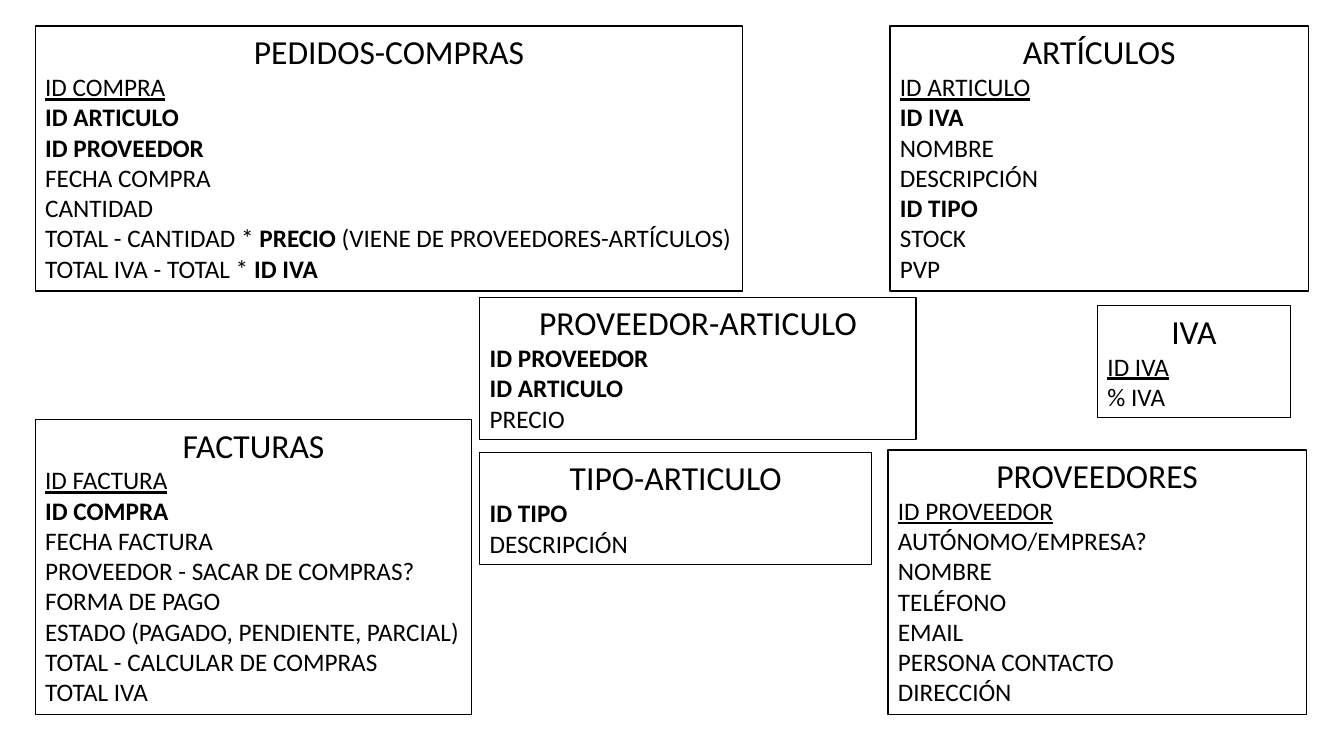
from pptx import Presentation
from pptx import util as u
from pptx.dml import color
from pptx.enum import text

COLORS = {"paper": "FFFFFF", "ink": "000000"}

TABLES = [
    ("PEDIDOS-COMPRAS", 0.89, 0.66, 17.83, "ID COMPRA", [
        "**ID ARTICULO**", "**ID PROVEEDOR**", "FECHA COMPRA", "CANTIDAD",
        "TOTAL - CANTIDAD * **PRECIO** (VIENE DE PROVEEDORES-ARTÍCULOS)",
        "TOTAL IVA - TOTAL * **ID IVA**"]),
    ("FACTURAS", 0.89, 10.57, 11, "ID FACTURA", [
        "**ID COMPRA**", "FECHA FACTURA", "PROVEEDOR - SACAR DE COMPRAS?",
        "FORMA DE PAGO", "ESTADO (PAGADO, PENDIENTE, PARCIAL)",
        "TOTAL - CALCULAR DE COMPRAS", "TOTAL IVA"]),
    ("PROVEEDORES", 22.38, 11.34, 10.54, "ID PROVEEDOR", [
        "AUTÓNOMO/EMPRESA?", "NOMBRE", "TELÉFONO", "EMAIL",
        "PERSONA CONTACTO", "DIRECCIÓN"]),
    ("IVA", 27.66, 7.7, 4.86, "ID IVA", ["% IVA"]),
    ("ARTÍCULOS", 22.43, 0.66, 10.54, "ID ARTICULO", [
        "**ID IVA**", "NOMBRE", "DESCRIPCIÓN", "**ID TIPO**", "STOCK", "PVP"]),
    ("PROVEEDOR-ARTICULO", 12.09, 7.49, 11, None, [
        "**ID PROVEEDOR**", "**ID ARTICULO**", "PRECIO"]),
    ("TIPO-ARTICULO", 12.09, 11.4, 9.88, None, ["**ID TIPO**", "DESCRIPCIÓN"]),
]


class Diagram:
    font_name = "Calibri"
    title_size = 24
    field_size = 18
    base_height = 1.28
    row_height = 0.77

    def __init__(self, page):
        self.page = page

    def color(self, name):
        return color.RGBColor.from_string(COLORS[name])

    def style(self, para, size):
        para.font.name = self.font_name
        para.font.size = u.Pt(size)
        para.font.color.rgb = self.color("ink")

    def frame(self, left, top, width, rows):
        height = self.base_height + self.row_height * rows
        box = self.page.shapes.add_textbox(
            u.Cm(left), u.Cm(top), u.Cm(width), u.Cm(height))
        box.fill.solid()
        box.fill.fore_color.rgb = self.color("paper")
        box.line.color.rgb = self.color("ink")
        box.line.width = u.Pt(1)
        box.text_frame.word_wrap = True
        box.text_frame.auto_size = text.MSO_AUTO_SIZE.SHAPE_TO_FIT_TEXT
        return box

    def title(self, box, words):
        para = box.text_frame.paragraphs[0]
        para.text = words
        para.alignment = text.PP_ALIGN.CENTER
        self.style(para, self.title_size)

    def field(self, box, words, underline=False):
        para = box.text_frame.add_paragraph()
        self.style(para, self.field_size)
        para.font.underline = underline
        for index, part in enumerate(words.split("**")):
            if part:
                span = para.add_run()
                span.text = part
                span.font.bold = index % 2 == 1

    def table(self, name, left, top, width, key, fields):
        box = self.frame(left, top, width, len(fields) + (key is not None))
        self.title(box, name)
        if key:
            self.field(box, key, underline=True)
        for words in fields:
            self.field(box, words)


def main():
    deck = Presentation()
    deck.slide_width = u.Cm(33.87)
    deck.slide_height = u.Cm(19.05)
    diagram = Diagram(deck.slides.add_slide(deck.slide_layouts[6]))
    for table in TABLES:
        diagram.table(*table)
    deck.save("out.pptx")


if __name__ == "__main__":
    main()
